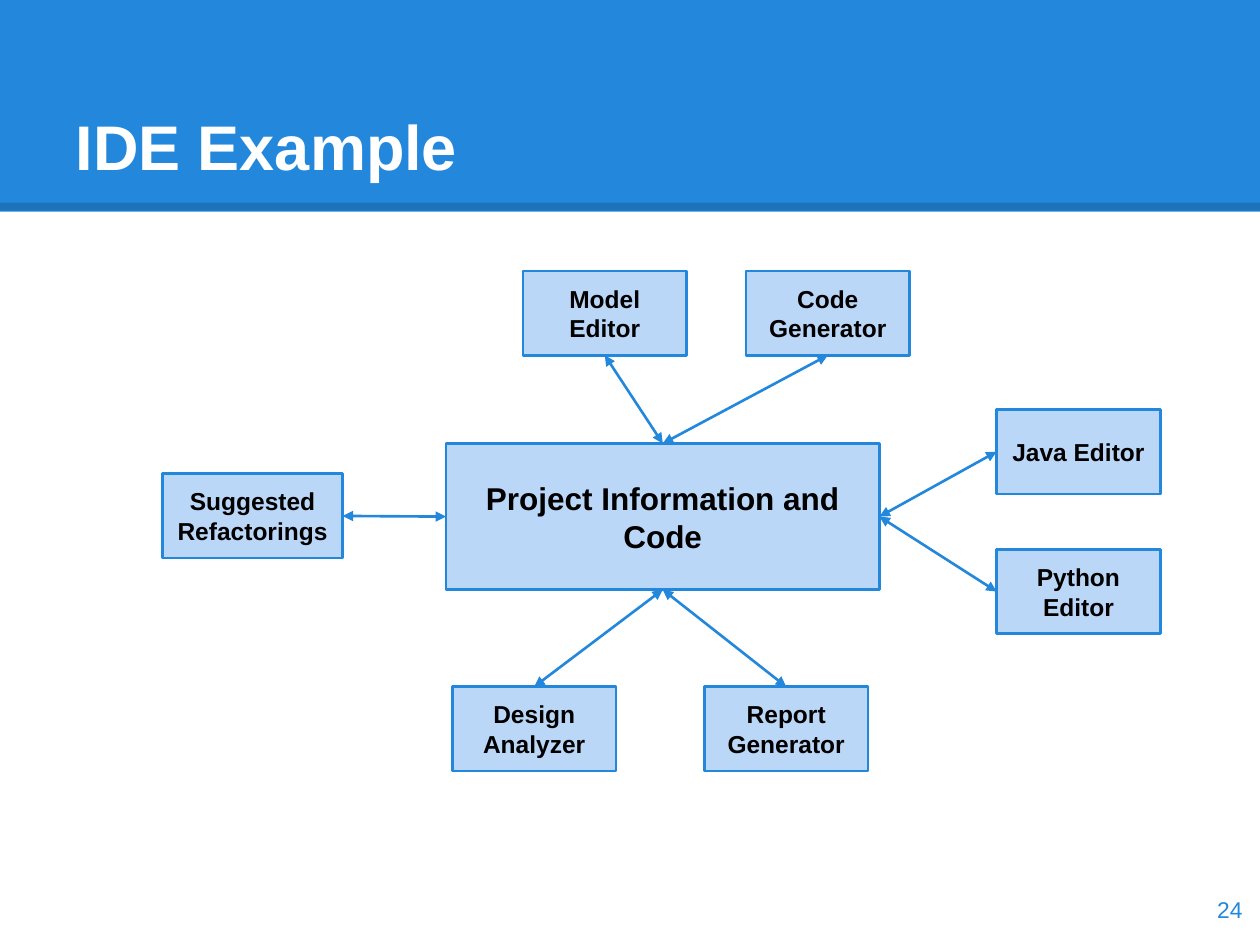
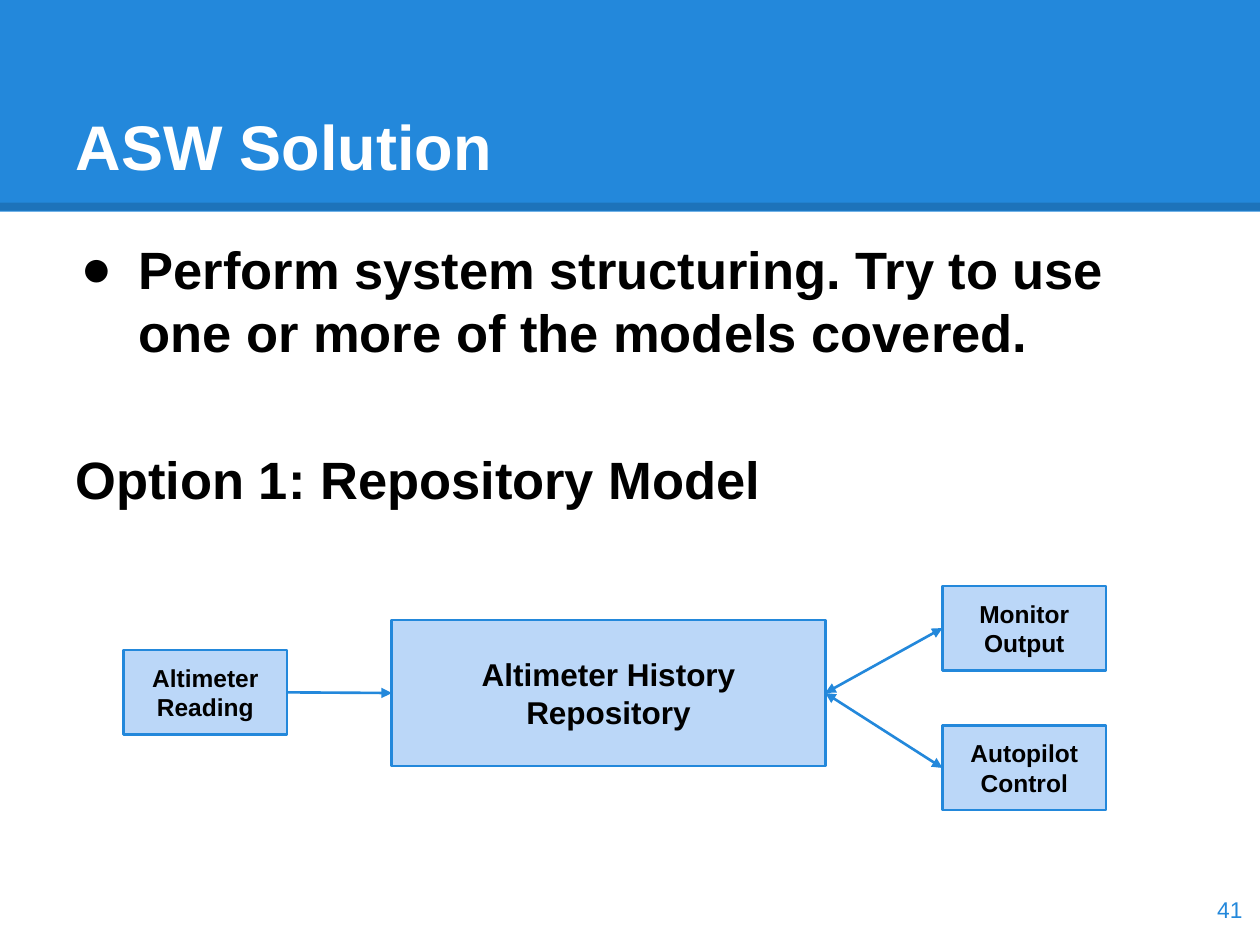
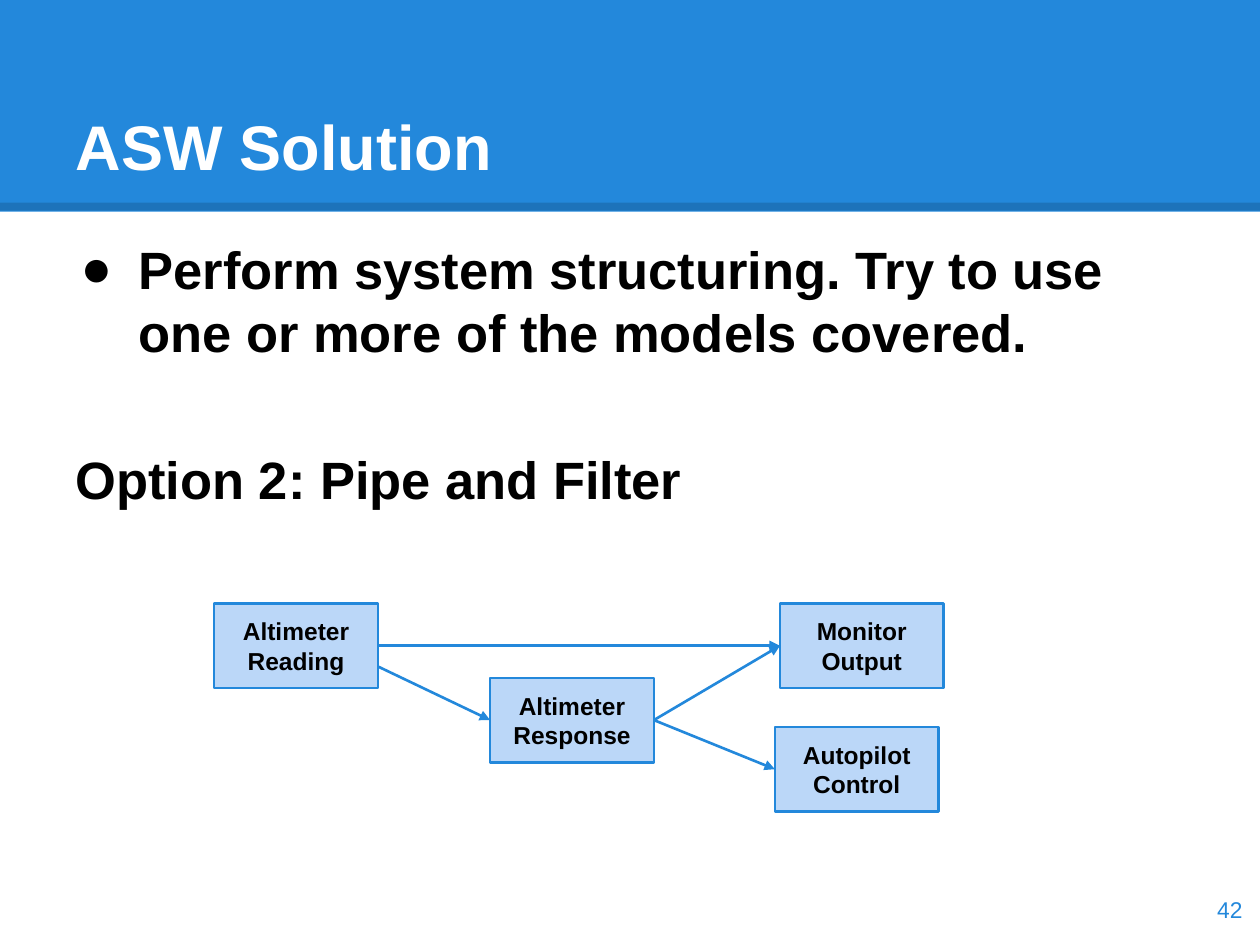
from lxml import etree
from pptx import Presentation
from pptx.dml.color import RGBColor
from pptx.enum.shapes import MSO_CONNECTOR, MSO_SHAPE
from pptx.enum.text import MSO_ANCHOR, MSO_AUTO_SIZE, PP_ALIGN
from pptx.oxml.ns import qn
from pptx.util import Pt

RECT = MSO_SHAPE.RECTANGLE
STRAIGHT = MSO_CONNECTOR.STRAIGHT
UPPER, MIDDLE, LOWER = MSO_ANCHOR.TOP, MSO_ANCHOR.MIDDLE, MSO_ANCHOR.BOTTOM
LEFT, CENTER, RIGHT = PP_ALIGN.LEFT, PP_ALIGN.CENTER, PP_ALIGN.RIGHT
FIXED = MSO_AUTO_SIZE.NONE

SCALE = 9144
FONT = "Arial"
BLUE, PALE, BLACK, WHITE = "2388DB", "BBD7F8", "000000", "FFFFFF"
TOP, WEST, BASE, EAST = range(4)
SMALL = (130, 67)
LARGE = (344, 116)
TASK = "Perform system structuring. Try to use one or more of the models covered."


def px(size):
    """Turn px into EMU."""
    return size * SCALE


def paint(color, code):
    """Set a colour from a hex string."""
    color.rgb = RGBColor.from_string(code)


def place(shape, x, y, w, h):
    """Move and size a shape."""
    shape.left, shape.top, shape.width, shape.height = map(px, (x, y, w, h))


def frame(shape, anchor):
    """Prepare the text frame of a shape."""
    area = shape.text_frame
    area.word_wrap = True
    area.auto_size = FIXED
    area.vertical_anchor = anchor
    area.margin_left = area.margin_right = px(10)
    area.margin_top = area.margin_bottom = px(10)
    return area


def write(para, text, size=14, color=BLACK, bold=True, align=LEFT, before=0):
    """Write formatted text into a paragraph."""
    para.alignment = align
    para.space_before = Pt(before)
    run = para.add_run()
    run.text = text
    run.font.name = FONT
    run.font.size = Pt(size)
    run.font.bold = bold
    paint(run.font.color, color)


def mark(para, char=None, margin=0, hang=0):
    """Set or clear the bullet of a paragraph."""
    props = para._p.get_or_add_pPr()
    props.set("marL", str(px(margin)))
    props.set("indent", str(px(-hang)))
    if not char:
        etree.SubElement(props, qn("a:buNone"))
        return
    tint = etree.SubElement(props, qn("a:buClr"))
    etree.SubElement(tint, qn("a:srgbClr"), val=BLACK)
    etree.SubElement(props, qn("a:buFont"), typeface=FONT)
    etree.SubElement(props, qn("a:buChar"), char=char)


def block(slide, x, y, w, h, fill):
    """Add a plain filled rectangle."""
    shape = slide.shapes.add_shape(RECT, *map(px, (x, y, w, h)))
    shape.shadow.inherit = False
    shape.fill.solid()
    paint(shape.fill.fore_color, fill)
    shape.line.fill.background()
    return shape


def box(slide, text, x, y, size=SMALL, font=14):
    """Add an outlined box with a centred label."""
    shape = block(slide, x, y, *size, PALE)
    paint(shape.line.color, BLUE)
    shape.line.width = Pt(1.5)
    write(frame(shape, MIDDLE).paragraphs[0], text, size=font, align=CENTER)
    return shape


def rule(slide, start, end, color=BLUE, width=1.5, tips=()):
    """Add a straight line with arrowheads at the named ends."""
    pen = slide.shapes.add_connector(STRAIGHT, *map(px, start + end))
    paint(pen.line.color, color)
    pen.line.width = Pt(width)
    props = pen.element.spPr
    for tip in tips:
        etree.SubElement(props.find(qn("a:ln")), qn(f"a:{tip}End"), type="triangle")
    etree.SubElement(props, qn("a:effectLst"))
    return pen


def link(slide, first, side, last, face, tips=("head", "tail")):
    """Join the sides of two boxes by an arrow."""
    pen = rule(slide, (0, 0), (0, 0), tips=tips)
    pen.begin_connect(first, side)
    pen.end_connect(last, face)


def banner(deck, slide):
    """Draw the title band and move it to the master."""
    band = block(slide, 0, 0, 1000, 168, BLUE)
    edge = rule(slide, (0, 164), (1000, 164), color=BLACK, width=4.5)
    shade = edge.element.spPr.find(".//" + qn("a:srgbClr"))
    etree.SubElement(shade, qn("a:alpha"), val="15000")
    tree = deck.slide_master.element.cSld.spTree
    for rank, part in enumerate((band, edge)):
        part.element.xpath(".//p:cNvPr")[0].set("id", str(20 + rank))
        tree.insert(2 + rank, part.element)


def start(deck, title, page, layout):
    """Add a slide with its title and page number."""
    slide = deck.slides.add_slide(deck.slide_layouts[layout])
    head = slide.shapes.title
    place(head, 50, 30, 900, 125)
    write(frame(head, LOWER).paragraphs[0], title, size=36, color=WHITE)
    note = slide.shapes.add_textbox(*map(px, (936, 693, 60, 57)))
    write(frame(note, MIDDLE).paragraphs[0], page, size=13, color=BLUE,
          bold=False, align=RIGHT)
    return slide


def option(deck, page, text):
    """Add a solution slide with its task and option."""
    slide = start(deck, "ASW Solution", page, 1)
    body = slide.placeholders[1]
    place(body, 50, 178, 900, 237)
    area = frame(body, UPPER)
    task, choice = area.paragraphs[0], area.add_paragraph()
    mark(task, "●", 50, 46)
    write(task, TASK, size=30)
    mark(choice)
    write(choice, text, size=30, before=48)
    return slide


def tools(deck):
    """Build the slide of tools around one project store."""
    slide = start(deck, "IDE Example", "24", 5)
    banner(deck, slide)
    hub = box(slide, "Project Information and Code", 354, 352, LARGE, 18)
    for text, x, y, size, side in (
        ("Model Editor", 415, 215, SMALL, TOP),
        ("Code Generator", 592, 215, SMALL, TOP),
        ("Java Editor", 791, 325, SMALL, EAST),
        ("Python Editor", 791, 436, SMALL, EAST),
        ("Report Generator", 559, 545, SMALL, BASE),
        ("Design Analyzer", 359, 545, SMALL, BASE),
        ("Suggested Refactorings", 129, 376, (143, 67), WEST),
    ):
        link(slide, box(slide, text, x, y, size), (side + 2) % 4, hub, side)


def store(deck):
    """Build the repository option."""
    slide = option(deck, "41", "Option 1: Repository Model")
    hub = box(slide, "Altimeter History Repository", 311, 492, LARGE, 18)
    for text, y in (("Monitor Output", 465), ("Autopilot Control", 576)):
        link(slide, box(slide, text, 748, y), WEST, hub, EAST)
    source = box(slide, "Altimeter Reading", 98, 516)
    link(slide, hub, WEST, source, EAST, ("head",))


def pipe(deck):
    """Build the pipe and filter option."""
    slide = option(deck, "42", "Option 2: Pipe and Filter")
    pilot = box(slide, "Autopilot Control", 615, 577)
    source = box(slide, "Altimeter Reading", 170, 479)
    reply = box(slide, "Altimeter Response", 389, 538)
    screen = box(slide, "Monitor Output", 619, 479)
    feed = rule(slide, (389, 572), (300, 529), tips=("head",))
    feed.begin_connect(reply, WEST)
    for first, last in ((reply, screen), (reply, pilot), (source, screen)):
        link(slide, first, EAST, last, WEST, ("tail",))


def main():
    """Build and save the deck."""
    deck = Presentation()
    deck.slide_width, deck.slide_height = px(1000), px(750)
    tools(deck)
    store(deck)
    pipe(deck)
    deck.save("out.pptx")


if __name__ == "__main__":
    main()
